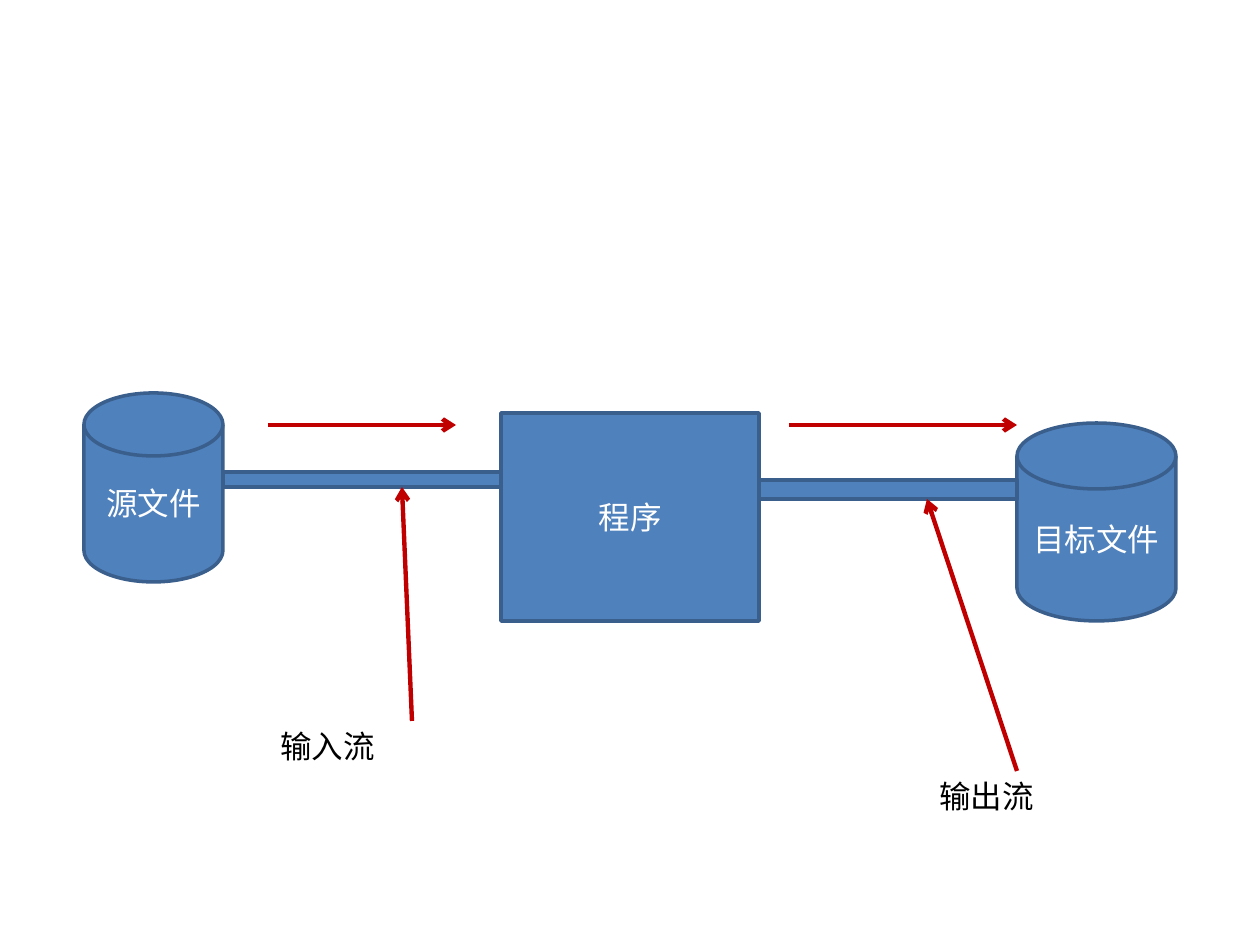
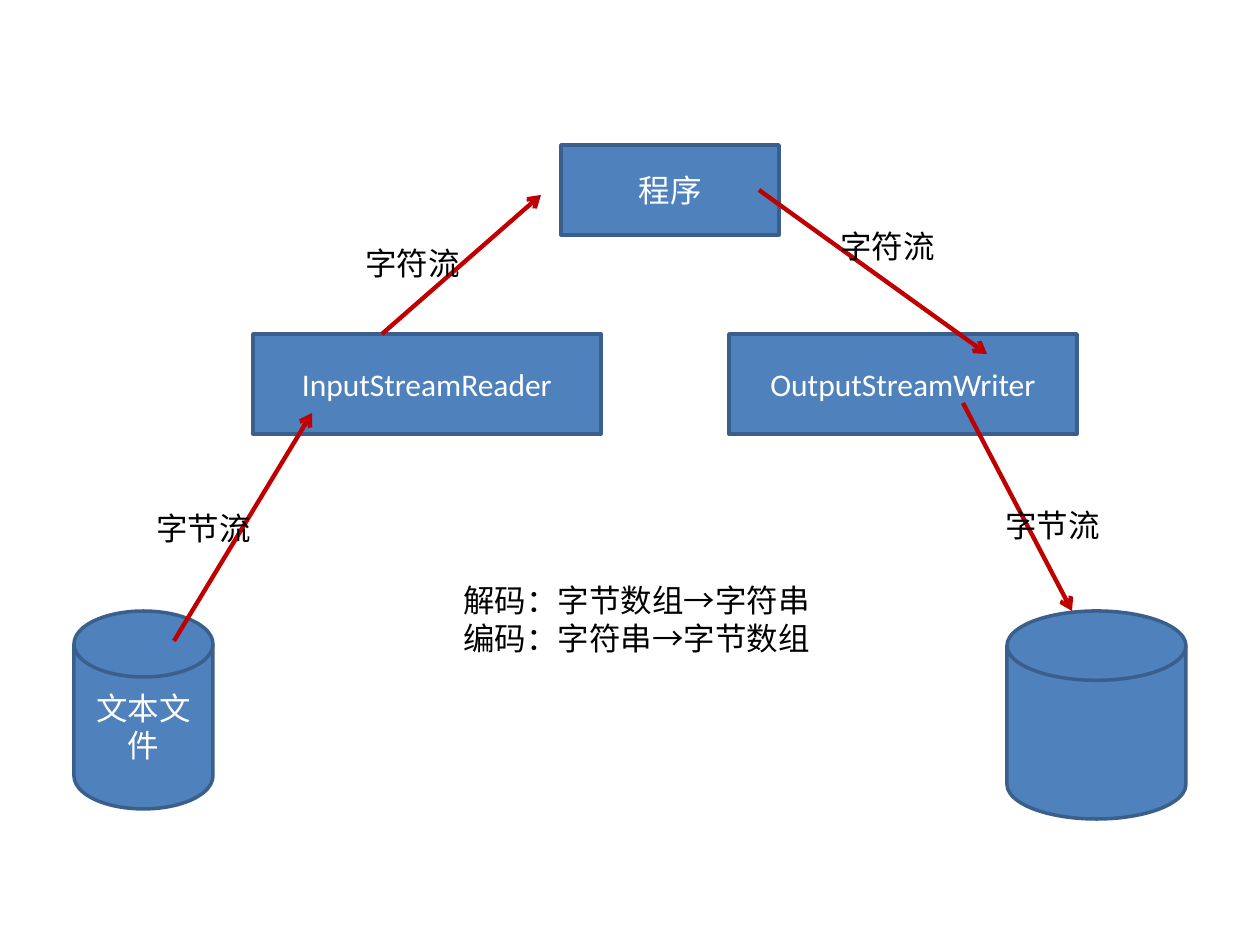
from lxml import etree
from pptx import Presentation
from pptx.dml.color import RGBColor
from pptx.enum.shapes import MSO_CONNECTOR, MSO_SHAPE as SHAPE
from pptx.enum.text import MSO_ANCHOR, MSO_AUTO_SIZE, PP_ALIGN
from pptx.oxml.ns import qn
from pptx.util import Pt

PX = 914400 / 126
WIDTH, HEIGHT = 1260, 945
FONT, SIZE = "Calibri", 18
BLUE, EDGE, RED, WHITE, BLACK = "4F81BD", "3A5F8C", "C00000", "FFFFFF", "000000"
LABEL_H = 50


def emu(*lengths):
    return [round(n * PX) for n in lengths]


def color(value):
    return RGBColor.from_string(value)


def write(tf, text, ink, align):
    tf.word_wrap = True
    tf.text = text
    for p in tf.paragraphs:
        p.alignment = align
        for r in p.runs:
            r.font.name, r.font.size = FONT, Pt(SIZE)
            r.font.color.rgb = color(ink)


def add_block(s, kind, x, y, w, h, text=""):
    sp = s.shapes.add_shape(kind, *emu(x, y, w, h))
    sp.shadow.inherit = False
    sp.fill.solid()
    sp.fill.fore_color.rgb = color(BLUE)
    sp.line.color.rgb = color(EDGE)
    sp.line.width = Pt(2)
    if text:
        sp.text_frame.vertical_anchor = MSO_ANCHOR.MIDDLE
        write(sp.text_frame, text, WHITE, PP_ALIGN.CENTER)


def add_box(s, *args):
    add_block(s, SHAPE.RECTANGLE, *args)


def add_disk(s, *args):
    add_block(s, SHAPE.FLOWCHART_MAGNETIC_DISK, *args)


def add_arrow(s, x1, y1, x2, y2):
    line = s.shapes.add_connector(MSO_CONNECTOR.STRAIGHT, *emu(x1, y1, x2, y2))
    line.line.color.rgb = color(RED)
    line.line.width = Pt(2.5)
    etree.SubElement(line.line._get_or_add_ln(), qn("a:tailEnd"), type="arrow")
    etree.SubElement(line._element.spPr, qn("a:effectLst"))


def add_label(s, text, x, y, w, h=LABEL_H):
    tf = s.shapes.add_textbox(*emu(x, y, w, h)).text_frame
    write(tf, text, BLACK, PP_ALIGN.LEFT)
    tf.auto_size = MSO_AUTO_SIZE.SHAPE_TO_FIT_TEXT


def add_stream(s, pipe, name, flow, pointer, label):
    """Pipe with a flow arrow above it and a named pointer below it."""
    x, y, w, h = pipe
    add_box(s, x, y, w, h)
    start, end, rise = flow
    add_arrow(s, x + start, y - rise, x + end, y - rise)
    foot, tip, drop = pointer
    add_arrow(s, x + foot, y + drop, x + tip, y + h)
    label_x, label_w = label
    add_label(s, name, x + label_x, y + drop, label_w)


def add_conversion(s, origin, class_name, class_x, disk, arrows, labels):
    """One side of the program: converter class, file, arrows and labels."""
    x, y = origin
    add_box(s, x + class_x, y + 189, 348, 100, class_name)
    disk_x, disk_w, disk_h, file_name = disk
    add_disk(s, x + disk_x, y + 466, disk_w, disk_h, file_name)
    for x1, y1, x2, y2 in arrows:
        add_arrow(s, x + x1, y + y1, x + x2, y + y2)
    for text, (dx, dy, w) in zip(("字符流", "字节流"), labels):
        add_label(s, text, x + dx, y + dy, w)


def build_streams(s):
    # Files and program
    add_disk(s, 84, 393, 139, 189, "源文件")
    add_box(s, 501, 413, 258, 208, "程序")
    add_disk(s, 1017, 423, 159, 198, "目标文件")
    # Streams between them
    add_stream(s, (223, 472, 278, 15), "输入流",
               flow=(45, 233, 47), pointer=(189, 179, 249), label=(45, 292))
    add_stream(s, (759, 480, 258, 19), "输出流",
               flow=(30, 258, 55), pointer=(258, 168, 291), label=(168, 268))


def build_conversions(s):
    top = 145
    add_box(s, 561, top, 218, 90, "程序")
    # Reading side
    add_conversion(s, (74, top), "InputStreamReader", 179,
                   disk=(0, 139, 198, "文本文件"),
                   arrows=[(308, 189, 467, 50), (100, 496, 238, 268)],
                   labels=[(279, 93, 189), (70, 358, 169)])
    # Writing side
    add_conversion(s, (729, top), "OutputStreamWriter", 0,
                   disk=(278, 179, 208, ""),
                   arrows=[(30, 45, 258, 209), (234, 258, 343, 466)],
                   labels=[(99, 76, 208), (264, 355, 159)])
    # Definitions
    add_label(s, "解码：字节数组→字符串\n编码：字符串→字节数组", 451, 575, 456, 89)


def main():
    prs = Presentation()
    prs.slide_width, prs.slide_height = emu(WIDTH, HEIGHT)
    for build in (build_streams, build_conversions):
        build(prs.slides.add_slide(prs.slide_layouts[6]))
    prs.save("out.pptx")


if __name__ == "__main__":
    main()
